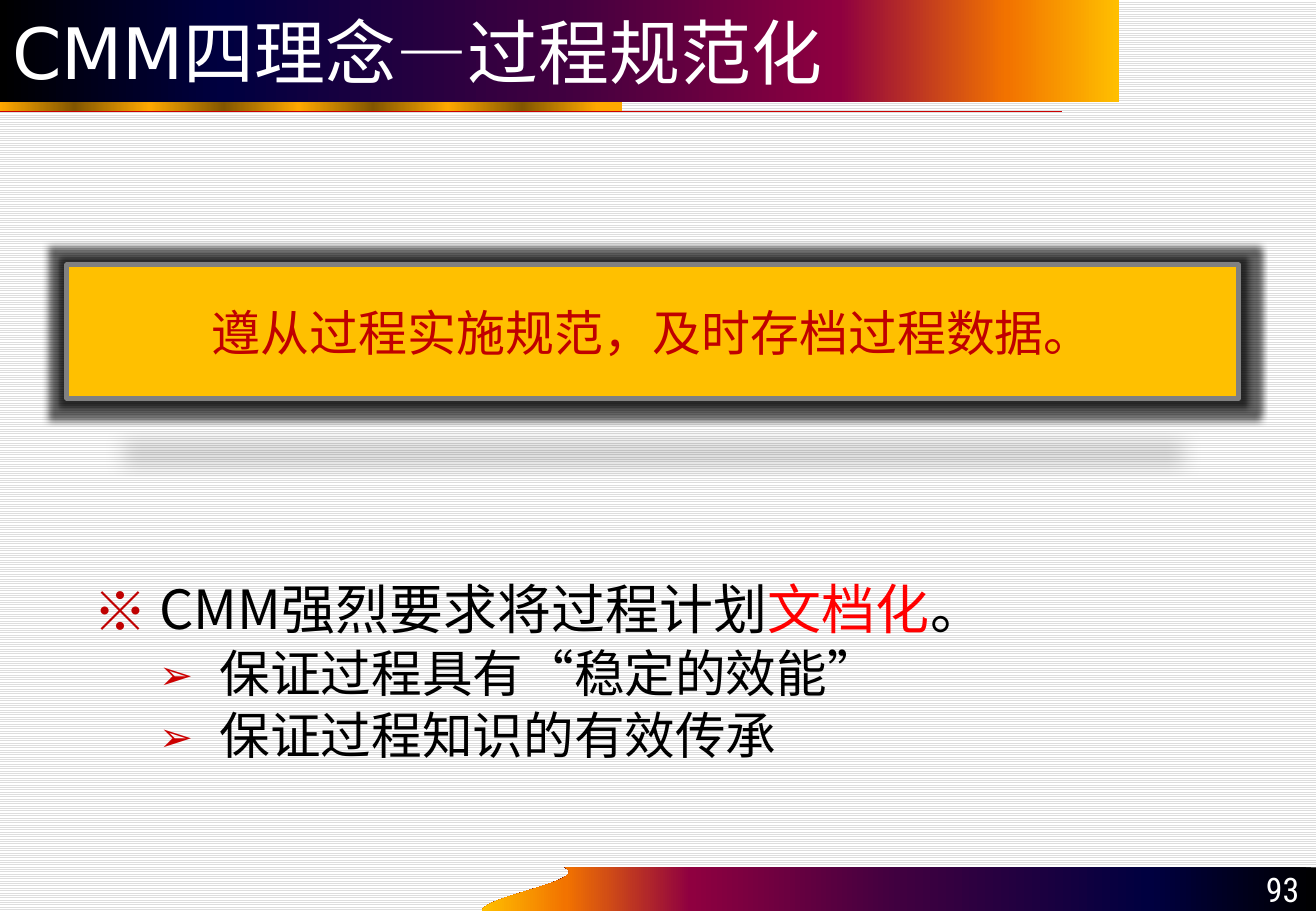
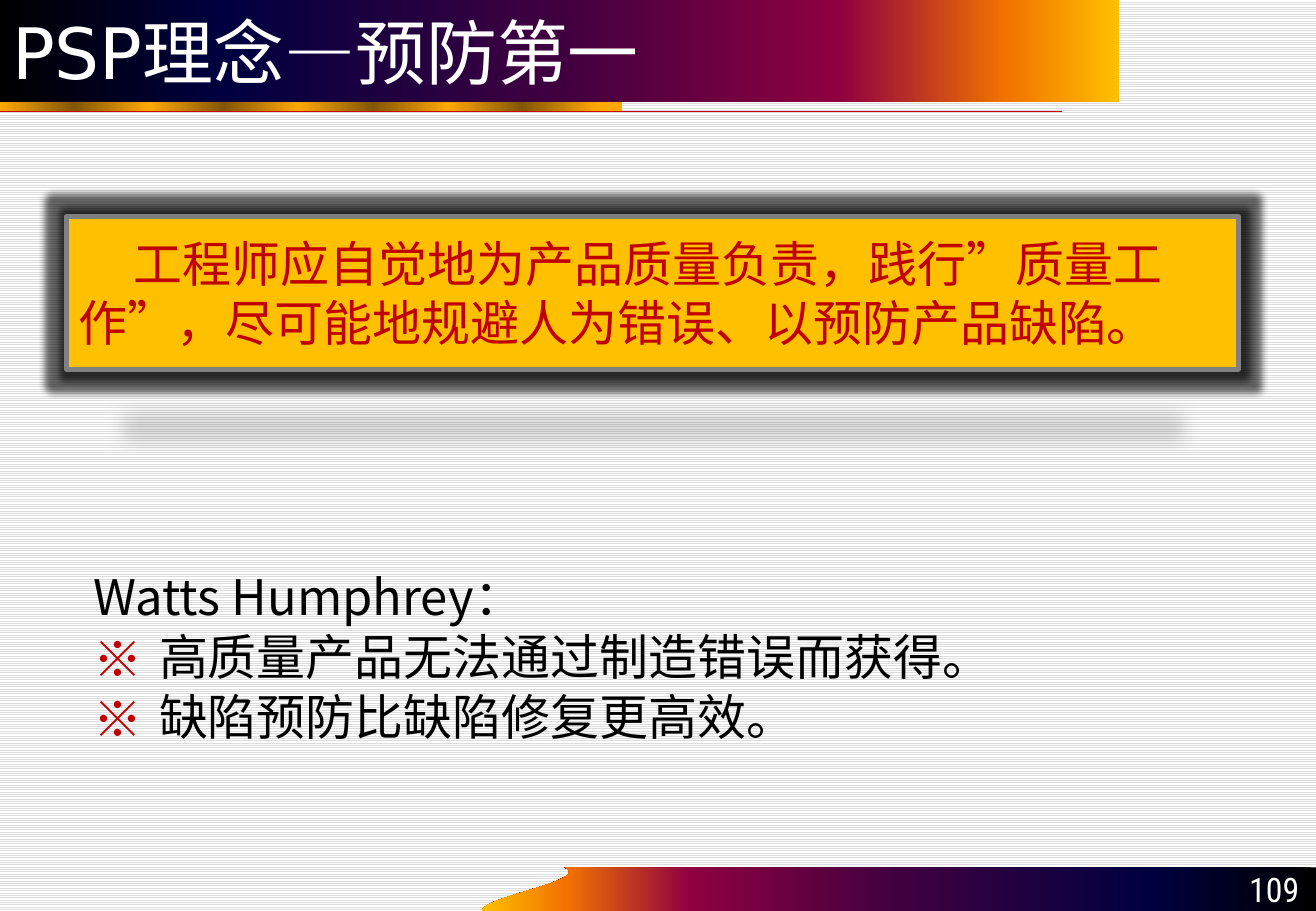
from lxml.etree import SubElement
from pptx import Presentation
from pptx.dml.color import RGBColor
from pptx.enum.dml import MSO_PATTERN
from pptx.enum.shapes import MSO_CONNECTOR, MSO_SHAPE
from pptx.enum.text import MSO_ANCHOR, MSO_AUTO_SIZE, PP_ALIGN
from pptx.oxml.ns import qn
from pptx.util import Cm, Pt

HUES = {
    "white": "FFFFFF", "black": "000000", "stripe": "DDDDDD",
    "red": "FF0000", "dark": "C00000", "rule": "CC0000",
    "gold": "FFC000", "grey": "808080", "amber": "FFA800", "brown": "825600",
}
FADE = [(0, "000000"), (20, "000040"), (50, "400040"),
        (75, "8F0040"), (90, "F27300"), (100, "FFBF00")]
BAND = [(12 * i, HUES["brown" if i % 2 else "amber"]) for i in range(9)]
SANS, CJK, SLIM = "DejaVu Sans", "Noto Sans CJK SC", "Roboto Condensed"
WIDE, HIGH = 27.51, 19.05


def rgb(name):
    return RGBColor.from_string(HUES[name])


def put(par, text, size=29, font=SANS, color="black"):
    """Add one formatted run to a paragraph."""
    run = par.add_run()
    run.text = text
    run.font.size = Pt(size)
    run.font.name = font
    run.font.color.rgb = rgb(color)
    east = SubElement(run.font._element, qn("a:ea"))
    east.set("typeface", CJK)


def move(shape, box):
    shape.left, shape.top, shape.width, shape.height = map(Cm, box)


def shade(shape, stops, angle=0):
    """Fill a shape with a linear gradient of (percent, hex) stops."""
    shape.fill.gradient()
    shape.fill.gradient_angle = angle
    tree = shape.element.find(".//" + qn("a:gsLst"))
    for old in list(tree):
        tree.remove(old)
    for pos, hue in stops:
        stop = SubElement(tree, qn("a:gs"), pos=str(pos * 1000))
        SubElement(stop, qn("a:srgbClr"), val=hue)


def bare(shape):
    shape.shadow.inherit = False
    shape.line.fill.background()


# Shared decoration
def strip(shapes, box):
    left, top, width, height = box
    band = shapes.add_shape(MSO_SHAPE.RECTANGLE, *map(Cm, (left, top, 13, height)))
    bare(band)
    shade(band, BAND)
    low = Cm(top + height)
    rule = shapes.add_connector(MSO_CONNECTOR.STRAIGHT, Cm(left), low,
                                Cm(left + width), low)
    rule.line.color.rgb = rgb("rule")
    rule.line.width = Pt(1)
    SubElement(rule.element.spPr, qn("a:effectLst"))
    return [band, rule]


def foot(shapes, box):
    left, top, width, height = box
    ends = [(0, height), (0, 0.61), (2.29, 0.28), (1.73, 0)]
    curve = []
    for i in range(21):
        t = i / 20
        part = [(1 - t) ** 3, 3 * t * (1 - t) ** 2, 3 * t * t * (1 - t), t ** 3]
        curve.append([sum(w * end[k] for w, end in zip(part, ends)) for k in (0, 1)])
    spots = [(Cm(left + x), Cm(top + y))
             for x, y in curve + [(width, 0), (width, height)]]
    pen = shapes.build_freeform(*spots[0], scale=1.0)
    pen.add_line_segments(spots[1:], close=True)
    wave = pen.convert_to_shape()
    bare(wave)
    shade(wave, FADE, 180)
    return [wave]


def dress(master, slide):
    """Set the backdrop and move the shared parts to the master."""
    fill = master.background.fill
    fill.patterned()
    fill.pattern = MSO_PATTERN.LIGHT_HORIZONTAL
    fill.fore_color.rgb = rgb("stripe")
    fill.back_color.rgb = rgb("white")
    parts = (foot(slide.shapes, (10.08, 18.14, 17.43, 0.91))
             + strip(slide.shapes, (0, 1.93, 22.2, 0.4)))
    for part in parts:
        master.shapes.element.append(part.element)


# Regions of a slide
def head(shape, text, box):
    move(shape, box)
    shade(shape, FADE)
    frame = shape.text_frame
    frame.auto_size = MSO_AUTO_SIZE.NONE
    frame.vertical_anchor = MSO_ANCHOR.MIDDLE
    par = frame.paragraphs[0]
    par.alignment = PP_ALIGN.LEFT
    put(par, text, size=42, color="white")


def mark(par, sign, level):
    """Set the indent and bullet of a list paragraph."""
    props = par._p.get_or_add_pPr()
    left, hang = [(1.37, 1.37), (2.64, 1.27)][level]
    props.set("marL", str(Cm(left)))
    props.set("indent", str(-Cm(hang)))
    if not sign:
        SubElement(props, qn("a:buNone"))
        return
    tint = SubElement(props, qn("a:buClr"))
    SubElement(tint, qn("a:srgbClr"), val=HUES["rule" if level else "dark"])
    SubElement(props, qn("a:buSzPct"), val="80000" if level else "100000")
    SubElement(props, qn("a:buFont"), typeface=CJK)
    SubElement(props, qn("a:buChar"), char=sign)


def points(shape, items, box):
    move(shape, box)
    frame = shape.text_frame
    frame.auto_size = MSO_AUTO_SIZE.NONE
    frame.vertical_anchor = MSO_ANCHOR.TOP
    for i, (level, sign, size, runs) in enumerate(items):
        par = frame.add_paragraph() if i else frame.paragraphs[0]
        par.level = level
        mark(par, sign, level)
        par.line_spacing = 0.85
        par.space_before = Pt(size * 0.2 if i else 0)
        for text, color in runs:
            put(par, text, size=size, font=CJK, color=color)


def number(shapes, text, box):
    frame = shapes.add_textbox(*map(Cm, box)).text_frame
    frame.word_wrap = True
    frame.vertical_anchor = MSO_ANCHOR.BOTTOM
    par = frame.paragraphs[0]
    par.alignment = PP_ALIGN.RIGHT
    put(par, text, size=20, font=SLIM, color="white")


def glow(shape):
    """Give a shape a dark halo and a flat shadow below it."""
    shape.shadow.inherit = False
    fx = shape.element.spPr.find(qn("a:effectLst"))
    halo = SubElement(fx, qn("a:glow"), rad=str(Pt(8)))
    cast = SubElement(fx, qn("a:outerShdw"), blurRad=str(Pt(12)), dist=str(Pt(25)),
                      dir="5400000", sx="90000", sy="-19000", rotWithShape="0")
    for part, alpha in ((halo, "60000"), (cast, "15000")):
        hue = SubElement(part, qn("a:srgbClr"), val=HUES["black"])
        SubElement(hue, qn("a:alpha"), val=alpha)


def motto(shapes, text, box, indent):
    card = shapes.add_shape(MSO_SHAPE.RECTANGLE, *map(Cm, box))
    card.fill.solid()
    card.fill.fore_color.rgb = rgb("gold")
    card.line.color.rgb = rgb("grey")
    card.line.width = Pt(3)
    glow(card)
    frame = card.text_frame
    frame.word_wrap = True
    frame.vertical_anchor = MSO_ANCHOR.MIDDLE
    par = frame.paragraphs[0]
    par.alignment = PP_ALIGN.LEFT if indent else PP_ALIGN.CENTER
    par._p.get_or_add_pPr().set("indent", str(Cm(indent)))
    put(par, text, color="dark")


def page(slide, title, items, top, quote, span, indent, num):
    name, body = slide.placeholders
    head(name, title, (0, 0, 23.39, 2.13))
    points(body, items, (1.7, top, 24.08, 17.32 - top))
    number(slide.shapes, num, (24.97, 18.11, 2.44, 1.02))
    motto(slide.shapes, quote, (1.4, span[0], 24.49, span[1]), indent)


PAGES = [
    dict(title="CMM四理念—过程规范化", num="93", top=12.12,
         quote="遵从过程实施规范，及时存档过程数据。", span=(5.54, 2.79), indent=0,
         items=[
             (0, "※", 32, [("CMM强烈要求将过程计划", "black"),
                           ("文档化", "red"), ("。", "black")]),
             (1, "➢", 30, [("保证过程具有“稳定的效能”", "black")]),
             (1, "➢", 30, [("保证过程知识的有效传承", "black")])]),
    dict(title="PSP理念—预防第一", num="109", top=11.91,
         quote="工程师应自觉地为产品质量负责，践行”质量工作”，"
               "尽可能地规避人为错误、以预防产品缺陷。",
         span=(4.52, 3.2), indent=1.15,
         items=[
             (0, "", 29, [("Watts Humphrey：", "black")]),
             (0, "※", 29, [("高质量产品无法通过制造错误而获得。", "black")]),
             (0, "※", 29, [("缺陷预防比缺陷修复更高效。", "black")])]),
]


def main():
    deck = Presentation()
    deck.slide_width, deck.slide_height = Cm(WIDE), Cm(HIGH)
    for i, data in enumerate(PAGES):
        slide = deck.slides.add_slide(deck.slide_layouts[1])
        if i == 0:
            dress(deck.slide_master, slide)
        page(slide, **data)
    deck.save("out.pptx")


if __name__ == "__main__":
    main()
